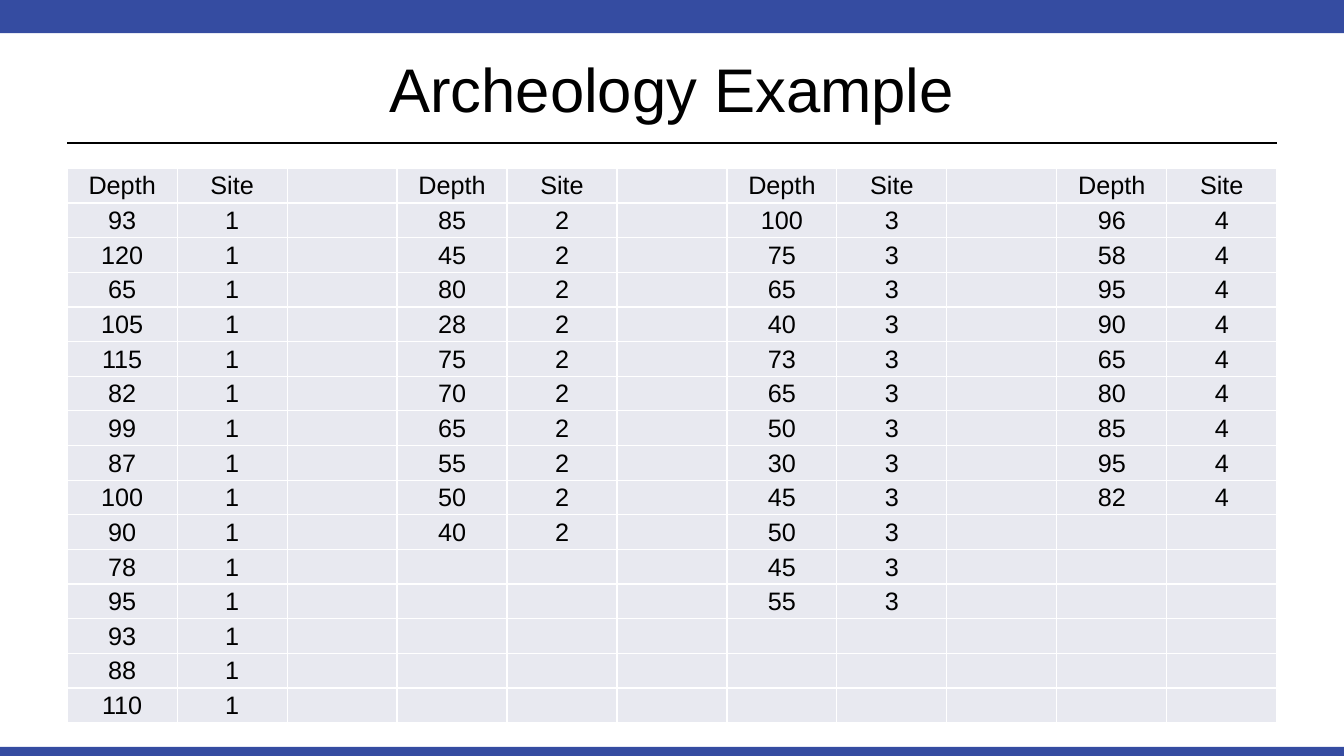
import pptx
import pptx.util
import pptx.dml.color
import pptx.enum.shapes
import pptx.enum.text
import pptx.oxml.ns
import lxml.etree

Pt = pptx.util.Pt
Inches = pptx.util.Inches
RGBColor = pptx.dml.color.RGBColor
Align = pptx.enum.text.PP_ALIGN
Anchor = pptx.enum.text.MSO_ANCHOR

BLUE = RGBColor(0x35, 0x4C, 0xA1)
BLACK = RGBColor(0, 0, 0)
PALE = RGBColor(0xE8, 0xE9, 0xF0)
FONT = "Arial"
WIDE, HIGH = Inches(13.33), Inches(7.5)
EDGE = round(WIDE * 0.05)
SPAN = WIDE - 2 * EDGE
ROWS, STEP = 16, 3  # each site takes two columns and a gap

DEPTHS = {
    1: [93, 120, 65, 105, 115, 82, 99, 87, 100, 90, 78, 95, 93, 88, 110],
    2: [85, 45, 80, 28, 75, 70, 65, 55, 50, 40],
    3: [100, 75, 65, 40, 73, 65, 50, 30, 45, 50, 45, 55],
    4: [96, 58, 95, 90, 65, 80, 85, 95, 82],
}


def style(par, size):
    par.alignment = Align.CENTER
    par.font.name = FONT
    par.font.size = Pt(size)
    par.font.color.rgb = BLACK


def add_bar(slide, top, high):
    kind = pptx.enum.shapes.MSO_SHAPE.RECTANGLE
    bar = slide.shapes.add_shape(kind, 0, top, WIDE, high)
    bar.shadow.inherit = False
    bar.fill.solid()
    bar.fill.fore_color.rgb = BLUE
    bar.line.fill.background()


def add_rule(slide, left, top, wide):
    kind = pptx.enum.shapes.MSO_CONNECTOR.STRAIGHT
    rule = slide.shapes.add_connector(kind, left, top, left + wide, top)
    rule.line.color.rgb = BLACK
    rule.line.width = Pt(1.25)
    props = rule._element.spPr
    lxml.etree.SubElement(props, pptx.oxml.ns.qn("a:effectLst"))


def set_title(slide, text, left, top, wide, high):
    title = slide.shapes.title
    title.left, title.top, title.width, title.height = left, top, wide, high
    title.text_frame.text = text
    title.text_frame.vertical_anchor = Anchor.MIDDLE
    style(title.text_frame.paragraphs[0], 44)


def add_depths(slide, left, top, wide, high):
    cols = STEP * len(DEPTHS) - 1
    table = slide.shapes.add_table(ROWS, cols, left, top, wide, high).table
    table.first_row = table.horz_banding = False
    for col in table.columns:
        col.width = round(wide / cols)
    for row in table.rows:
        row.height = round(high / ROWS)

    for i, (site, depths) in enumerate(DEPTHS.items()):
        pairs = [("Depth", "Site")] + [(depth, site) for depth in depths]
        for r, pair in enumerate(pairs):
            for c, value in enumerate(pair):
                table.cell(r, STEP * i + c).text = str(value)

    for cell in table.iter_cells():
        cell.fill.solid()
        cell.fill.fore_color.rgb = PALE
        cell.vertical_anchor = Anchor.MIDDLE
        cell.margin_left = cell.margin_right = cell.margin_top = Inches(0.01)
        cell.margin_bottom = 0
        style(cell.text_frame.paragraphs[0], 18)


def main():
    deck = pptx.Presentation()
    deck.slide_width, deck.slide_height = WIDE, HIGH
    slide = deck.slides.add_slide(deck.slide_layouts.get_by_name("Title Only"))
    foot = Inches(7.41)
    add_bar(slide, foot, HIGH - foot)
    add_bar(slide, 0, Inches(0.33))
    add_rule(slide, EDGE, Inches(1.42), SPAN)
    set_title(slide, "Archeology Example", EDGE, Inches(0.25), SPAN, HIGH // 6)
    add_depths(slide, EDGE, Inches(1.67), SPAN, Inches(5.5))
    deck.save("out.pptx")


if __name__ == "__main__":
    main()
